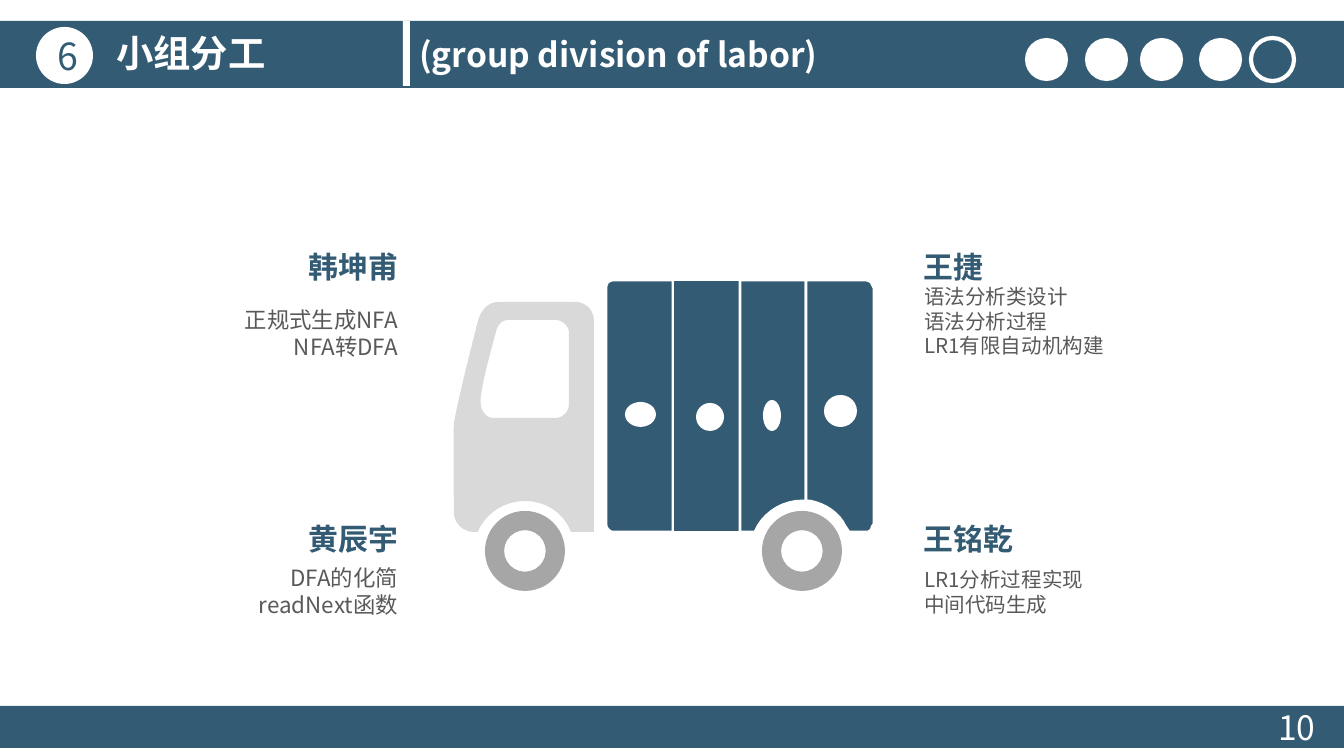
from lxml import etree
from pptx import Presentation
from pptx.dml.color import RGBColor
from pptx.enum.shapes import MSO_SHAPE
from pptx.enum.text import MSO_ANCHOR, MSO_AUTO_SIZE, PP_ALIGN
from pptx.oxml.ns import qn
from pptx.util import Pt

RECT, OVAL, RING = MSO_SHAPE.RECTANGLE, MSO_SHAPE.OVAL, MSO_SHAPE.DONUT
LEFT, MID, RIGHT = PP_ALIGN.LEFT, PP_ALIGN.CENTER, PP_ALIGN.RIGHT
TOP, CENTER = MSO_ANCHOR.TOP, MSO_ANCHOR.MIDDLE
FIXED = MSO_AUTO_SIZE.NONE

SCALE = 914400 / 134.4
FONT = "Noto Sans CJK SC"
COLORS = {"blue": "335B74", "white": "FFFFFF", "text": "595959",
          "cab": "D9D9D9", "wheel": "A6A6A6"}
INSETS = (13, 7, 13, 7)
SLIM = (11, 0, 11, 0)

DOTS = (1025, 1085, 1140, 1199)
BADGES = ((625, 402, 31, 25), (696, 403, 28, 28),
          (763, 400, 18, 31), (824, 395, 33, 32))
WHEELS = (485, 762)

# In an outline, a pair is a corner and a group of six is a Bezier curve.
PANELS = (
    ((614, 280), (673, 280), (673, 532), (612, 532),
     (609, 531, 606, 528, 606, 524), (606, 288),
     (606, 282, 610, 280, 614, 280)),
    ((673, 280), (740, 280), (740, 532), (673, 532)),
    ((740, 280), (806, 280), (806, 501), (802, 501),
     (784, 501, 767, 511, 758, 526), (755, 532), (740, 532)),
    ((806, 280), (864, 280), (868, 280, 871, 281, 872, 284), (874, 288),
     (874, 524), (872, 527), (872, 530, 870, 531, 868, 532), (849, 532),
     (845, 526), (839, 513, 825, 504, 810, 501), (806, 501)),
)
CAB = ((454, 513), (454, 524, 464, 532, 474, 532), (478, 532), (480, 527),
       (489, 512, 505, 501, 525, 501), (546, 501, 564, 513, 571, 532),
       (594, 532), (594, 321), (594, 310, 586, 302, 575, 302), (499, 302),
       (488, 302, 481, 310, 478, 321), (478, 321, 458, 398, 454, 423),
       (453, 433, 454, 513, 454, 513))
WINDOW = ((481, 396), (482, 382, 496, 332, 496, 332),
          (497, 327, 501, 320, 508, 320), (556, 320),
          (563, 320, 569, 327, 569, 332), (569, 405),
          (569, 411, 563, 418, 556, 418), (493, 418),
          (487, 418, 481, 411, 481, 405), (481, 405, 480, 403, 481, 396))

# Name, tasks, left, name top, list top, list size, alignment
MEMBERS = (
    ("韩坤甫", ("正规式生成NFA", "NFA转DFA"), 77, 249, 301, 12, RIGHT),
    ("王捷", ("语法分析类设计", "语法分析过程", "LR1有限自动机构建"),
     913, 249, 289, 11, LEFT),
    ("黄辰宇", ("DFA的化简", "readNext函数"), 77, 521, 559, 12, RIGHT),
    ("王铭乾", ("LR1分析过程实现", "中间代码生成"), 913, 521, 560, 11, LEFT),
)


def px(n):
    return round(n * SCALE)


def rgb(name):
    return RGBColor.from_string(COLORS[name])


def paint(shape, fill=None, line=None, width=1.5):
    shape.shadow.inherit = False
    if fill:
        shape.fill.solid()
        shape.fill.fore_color.rgb = rgb(fill)
    else:
        shape.fill.background()
    if line:
        shape.line.color.rgb = rgb(line)
        shape.line.width = Pt(width)
    else:
        shape.line.fill.background()
    return shape


def draw(slide, kind, box, fill=None, line=None, width=1.5):
    shape = slide.shapes.add_shape(kind, *map(px, box))
    return paint(shape, fill, line, width)


def write(shape, lines, size, color, bold=False, align=LEFT, anchor=TOP,
          insets=INSETS, wrap=True):
    frame = shape.text_frame
    frame.text = "\n".join(lines)
    frame.auto_size = FIXED
    frame.word_wrap = wrap
    frame.vertical_anchor = anchor
    (frame.margin_left, frame.margin_top,
     frame.margin_right, frame.margin_bottom) = map(px, insets)
    for para in frame.paragraphs:
        props = para._p.get_or_add_pPr()
        props.set("marL", "0")
        props.set("indent", "0")
        etree.SubElement(props, qn("a:buNone"))
        para.alignment = align
        para.space_before = Pt(0)
        font = para.font
        font.name, font.size, font.bold = FONT, Pt(size), bold
        font.color.rgb = rgb(color)
        east = etree.SubElement(props.find(qn("a:defRPr")), qn("a:ea"))
        east.set("typeface", FONT)


def label(slide, box, text, size, color, **style):
    write(slide.shapes.add_textbox(*map(px, box)), [text], size, color, **style)


def hold(slide, index, box, lines, size, color, **style):
    """Move a placeholder to the box, bring it to the front and fill it."""
    shape = slide.placeholders[index]
    shape.left, shape.top, shape.width, shape.height = map(px, box)
    slide.shapes.element.append(shape.element)
    write(shape, lines, size, color, **style)


def trace(outline, steps=8):
    """Turn an outline of corners and curves into points in EMU."""
    points = [outline[0]]
    for part in outline[1:]:
        if len(part) == 2:
            points.append(part)
            continue
        start, ends = points[-1], (part[:2], part[2:4], part[4:])
        for step in range(1, steps + 1):
            t = step / steps
            u = 1 - t
            weights = (u**3, 3 * u * u * t, 3 * u * t * t, t**3)
            points.append(tuple(
                sum(w * p[axis] for w, p in zip(weights, (start, *ends)))
                for axis in (0, 1)))
    return [(px(x), px(y)) for x, y in points]


def form(slide, outlines, fill, line=None):
    first, *holes = map(trace, outlines)
    pen = slide.shapes.build_freeform(*first[0])
    pen.add_line_segments(first[1:])
    for hole in holes:
        pen.move_to(*hole[0])
        pen.add_line_segments(hole[1:])
    paint(pen.convert_to_shape(), fill, line)


def header(slide):
    draw(slide, RECT, (0, 21, 1344, 67), "blue")
    for x in DOTS:
        draw(slide, OVAL, (x, 38, 43, 43), "white")
    draw(slide, OVAL, (1251, 38, 43, 43), line="white", width=2.25)
    badge = draw(slide, OVAL, (36, 27, 57, 57), "white")
    write(badge, ["6"], 20, "blue", align=MID, anchor=CENTER)
    draw(slide, RECT, (403, 21, 7, 65), "white")
    hold(slide, 0, (103, 23, 177, 59), ["小组分工"], 20, "white",
         bold=True, wrap=False)
    label(slide, (406, 27, 446, 54), "(group division of labor)", 18, "white",
          bold=True, wrap=False)


def footer(slide):
    draw(slide, RECT, (0, 706, 1344, 42), "blue")
    label(slide, (1265, 700, 79, 54), "10", 18, "white")


def team(slide):
    for index, member in enumerate(MEMBERS, 1):
        name, tasks, x, top, low, size, align = member
        hold(slide, index, (x, low, 332, 64), tasks, size, "text",
             align=align, anchor=CENTER, insets=SLIM)
        label(slide, (x, top, 332, 27), name, 16, "blue", bold=True,
              align=align, insets=SLIM)


def truck(slide):
    for panel in PANELS:
        form(slide, [panel], "blue", "white")
    for x in WHEELS:
        wheel = draw(slide, RING, (x, 511, 80, 80), "wheel")
        wheel.adjustments[0] = 0.24
    form(slide, [CAB, WINDOW], "cab")
    for box in BADGES:
        draw(slide, OVAL, box, "white")


def main():
    deck = Presentation()
    deck.slide_width, deck.slide_height = px(1344), px(756)
    slide = deck.slides.add_slide(deck.slide_layouts.get_by_name("Comparison"))
    header(slide)
    footer(slide)
    team(slide)
    truck(slide)
    deck.save("out.pptx")


if __name__ == "__main__":
    main()
